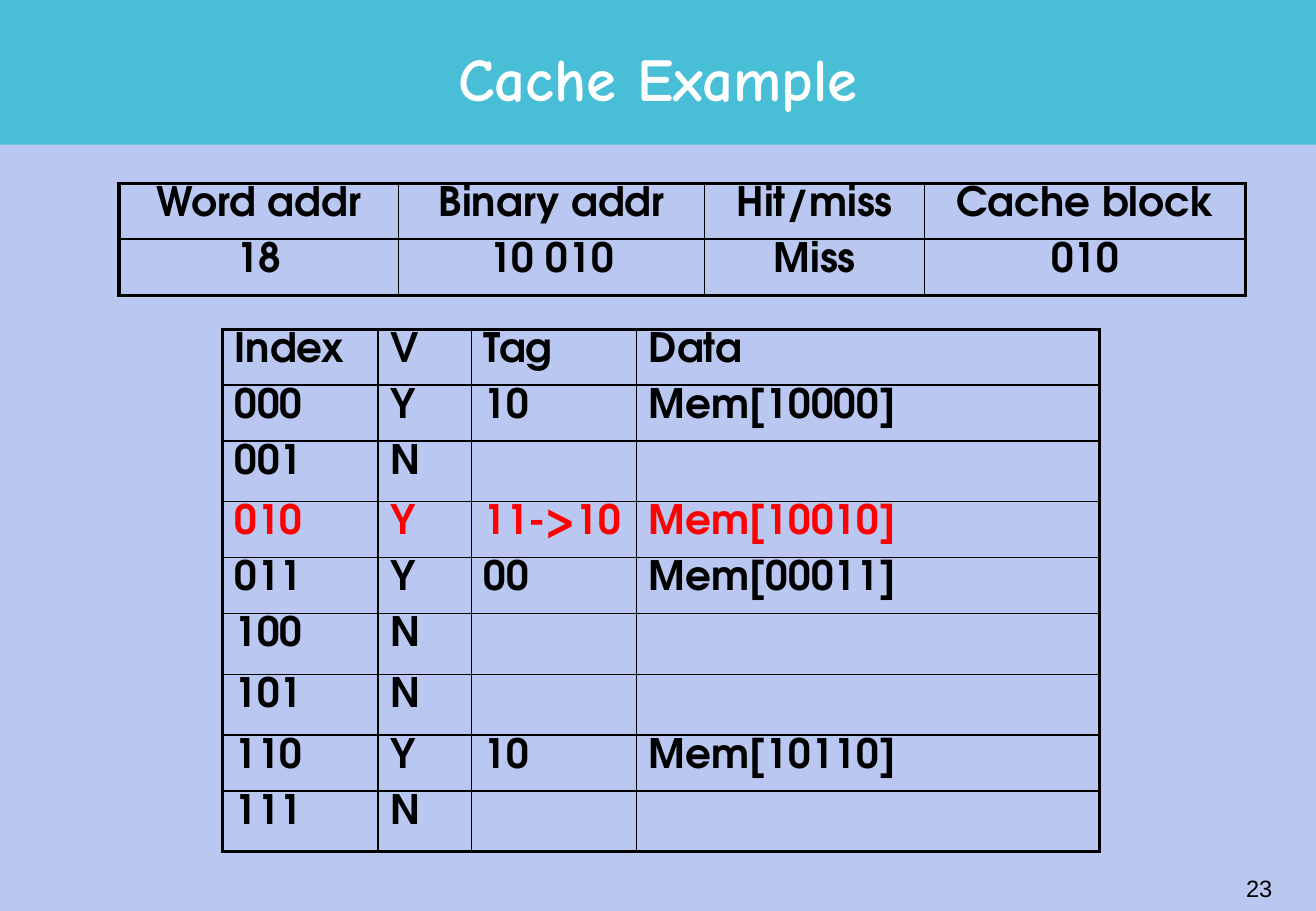
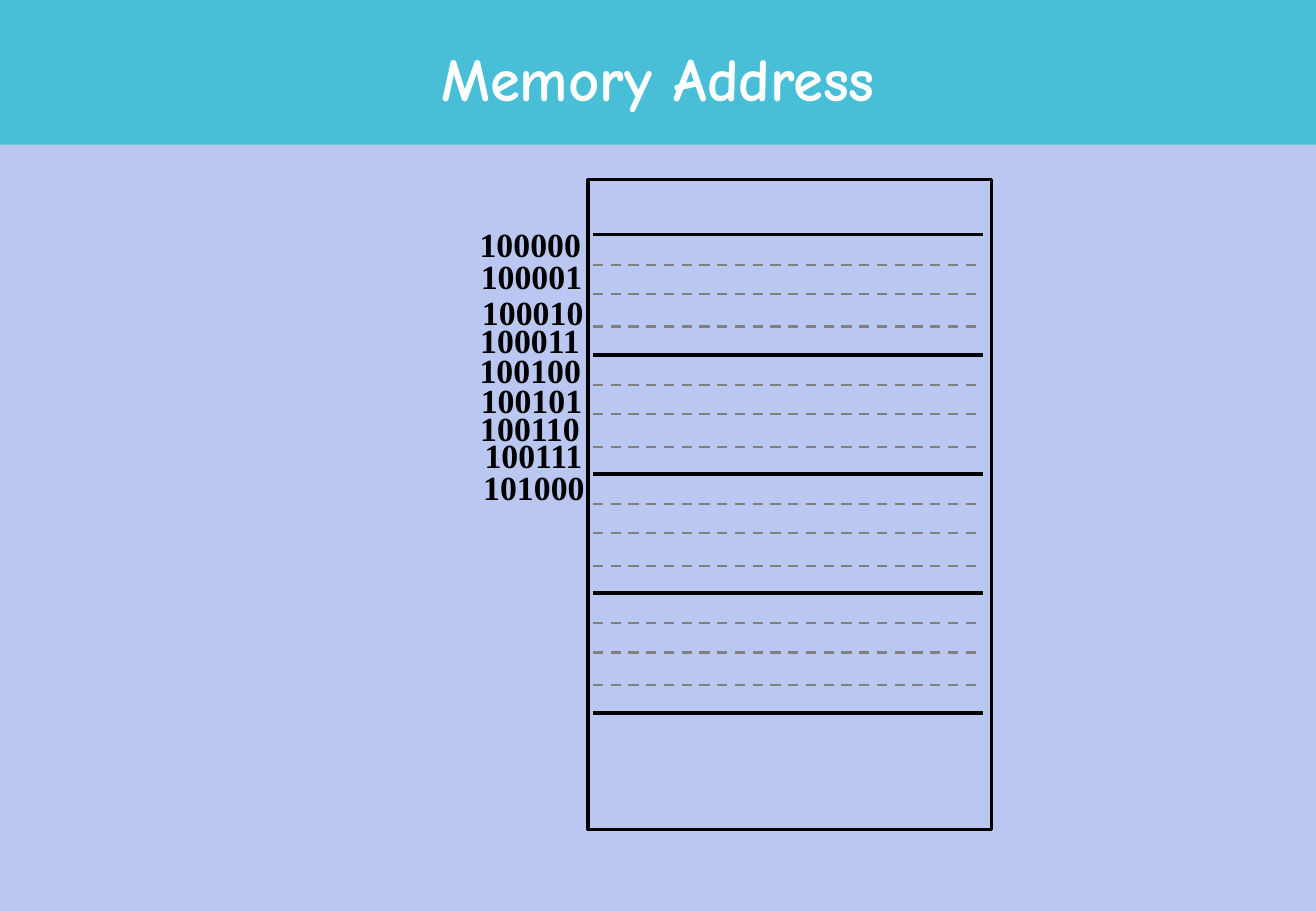
"""Build two lecture slides: a cache example and a memory address map."""
from dataclasses import dataclass

from lxml.etree import SubElement
from pptx import Presentation
from pptx.dml.color import RGBColor as RGB
from pptx.enum.dml import MSO_LINE
from pptx.enum.shapes import MSO_CONNECTOR, MSO_SHAPE
from pptx.enum.text import MSO_ANCHOR as ANCHOR, PP_ALIGN as ALIGN
from pptx.oxml.ns import qn
from pptx.util import Emu, Pt


@dataclass(frozen=True)
class Theme:
    page: RGB = RGB.from_string("BAC8F1")
    band: RGB = RGB.from_string("49BFD7")
    ink: RGB = RGB.from_string("000000")
    white: RGB = RGB.from_string("FFFFFF")
    red: RGB = RGB.from_string("FF0000")
    grey: RGB = RGB.from_string("808080")
    title: tuple = ("Comic Neue", 36, True)
    cell: tuple = ("TeX Gyre Adventor", 24, True)
    label: tuple = ("Times New Roman", 20, True)
    number: tuple = ("Arial", 14, False)
    outer: float = 2.25
    header: float = 1.5
    inner: float = 1


T = Theme()
PX = 9144


def write(tf, text, style, color, align, spacing=None):
    p = tf.paragraphs[0]
    p.text = text
    p.alignment = align
    p.line_spacing = spacing
    p.font.name, size, p.font.bold = style
    p.font.size = Pt(size)
    p.font.color.rgb = color
    for r in p.runs:
        r.font.name, r.font.size, r.font.bold = style[0], Pt(size), style[2]
        r.font.color.rgb = color


def add_grid(s, left, top, widths, rows, align, red_row=None):
    last_row, last_col = len(rows) - 1, len(widths) - 1
    row_h = 46
    box = [Emu(v * PX) for v in (left, top, sum(widths), row_h * len(rows))]
    tbl = s.shapes.add_table(len(rows), len(widths), *box).table
    tbl.first_row = tbl.horz_banding = False
    for col, width in zip(tbl.columns, widths):
        col.width = Emu(width * PX)
    for i, row in enumerate(rows):
        tbl.rows[i].height = Emu(row_h * PX)
        for j, text in enumerate(row):
            cell = tbl.cell(i, j)
            color = T.red if i == red_row else T.ink
            write(cell.text_frame, text, T.cell, color, align, 0.9)
            borders = {
                "a:lnL": T.outer if j == 0 else T.inner,
                "a:lnR": T.outer if j == last_col else T.inner,
                "a:lnT": {0: T.outer, 1: T.header}.get(i, T.inner),
                "a:lnB": T.outer if i == last_row else T.header if i == 0 else T.inner,
            }
            tcPr = cell._tc.get_or_add_tcPr()
            for tag, width in borders.items():
                ln = SubElement(tcPr, qn(tag), w=str(Pt(width)))
                fill = SubElement(ln, qn("a:solidFill"))
                SubElement(fill, qn("a:srgbClr"), val=str(T.ink))
            cell.fill.background()


prs = Presentation()
prs.slide_width, prs.slide_height = Emu(1083 * PX), Emu(750 * PX)
bg = prs.slide_master.background.fill
bg.solid()
bg.fore_color.rgb = T.page

slides = []
for title in ("Cache Example", "Memory Address"):
    s = prs.slides.add_slide(prs.slide_layouts[6])
    band = s.shapes.add_shape(MSO_SHAPE.RECTANGLE, 0, 0, prs.slide_width, Emu(119 * PX))
    band.shadow.inherit = False
    band.fill.solid()
    band.fill.fore_color.rgb = T.band
    band.line.fill.background()
    tf = s.shapes.add_textbox(*[Emu(v * PX) for v in (81, 19, 921, 99)]).text_frame
    tf.word_wrap = True
    tf.vertical_anchor = ANCHOR.MIDDLE
    write(tf, title, T.title, T.white, ALIGN.CENTER, 0.85)
    slides.append(s)
cache, memory = slides

index_rows = [
    ("Index", "V", "Tag", "Data"),
    ("000", "Y", "10", "Mem[10000]"),
    ("001", "N", "", ""),
    ("010", "Y", "11->10", "Mem[10010]"),
    ("011", "Y", "00", "Mem[00011]"),
    ("100", "N", "", ""),
    ("101", "N", "", ""),
    ("110", "Y", "10", "Mem[10110]"),
    ("111", "N", "", ""),
]
access_rows = [
    ("Word addr", "Binary addr", "Hit/miss", "Cache block"),
    ("18", "10 010", "Miss", "010"),
]
add_grid(cache, 183, 271, (128, 77, 136, 381), index_rows, ALIGN.LEFT, red_row=3)
add_grid(cache, 98, 151, (230, 252, 181, 264), access_rows, ALIGN.CENTER)

tf = cache.shapes.add_textbox(*[Emu(v * PX) for v in (831, 706, 226, 50)]).text_frame
tf.word_wrap = True
tf.vertical_anchor = ANCHOR.MIDDLE
write(tf, "23", T.number, T.ink, ALIGN.RIGHT)

frame = memory.shapes.add_shape(
    MSO_SHAPE.RECTANGLE, *[Emu(v * PX) for v in (484, 148, 332, 535)])
frame.shadow.inherit = False
frame.fill.background()
frame.line.color.rgb = T.ink
frame.line.width = Pt(2)

word_tops = [round(193 + 98.5 * i) for i in range(5)]
byte_tops = [top + step for top in word_tops[:-1] for step in (25, 49, 76)]
for tops, color, width, dash in (
    (word_tops, T.ink, 2.25, MSO_LINE.SOLID),
    (byte_tops, T.grey, 1.5, MSO_LINE.DASH),
):
    for y in tops:
        rule = memory.shapes.add_connector(
            MSO_CONNECTOR.STRAIGHT, *[Emu(v * PX) for v in (488, y, 809, y)])
        rule.line.color.rgb = color
        rule.line.width = Pt(width)
        rule.line.dash_style = dash
        SubElement(rule._element.spPr, qn("a:effectLst"))

label_w = 120
for address, right, top in (
    ("100000", 488, 179),
    ("100001", 489, 206),
    ("100010", 490, 235),
    ("100011", 487, 258),
    ("100100", 488, 283),
    ("100101", 489, 308),
    ("100110", 487, 331),
    ("100111", 489, 353),
    ("101000", 491, 379),
):
    box = [Emu(v * PX) for v in (right - label_w, top, label_w, 44)]
    tf = memory.shapes.add_textbox(*box).text_frame
    tf.word_wrap = True
    write(tf, address, T.label, T.ink, ALIGN.RIGHT)

prs.save("out.pptx")
